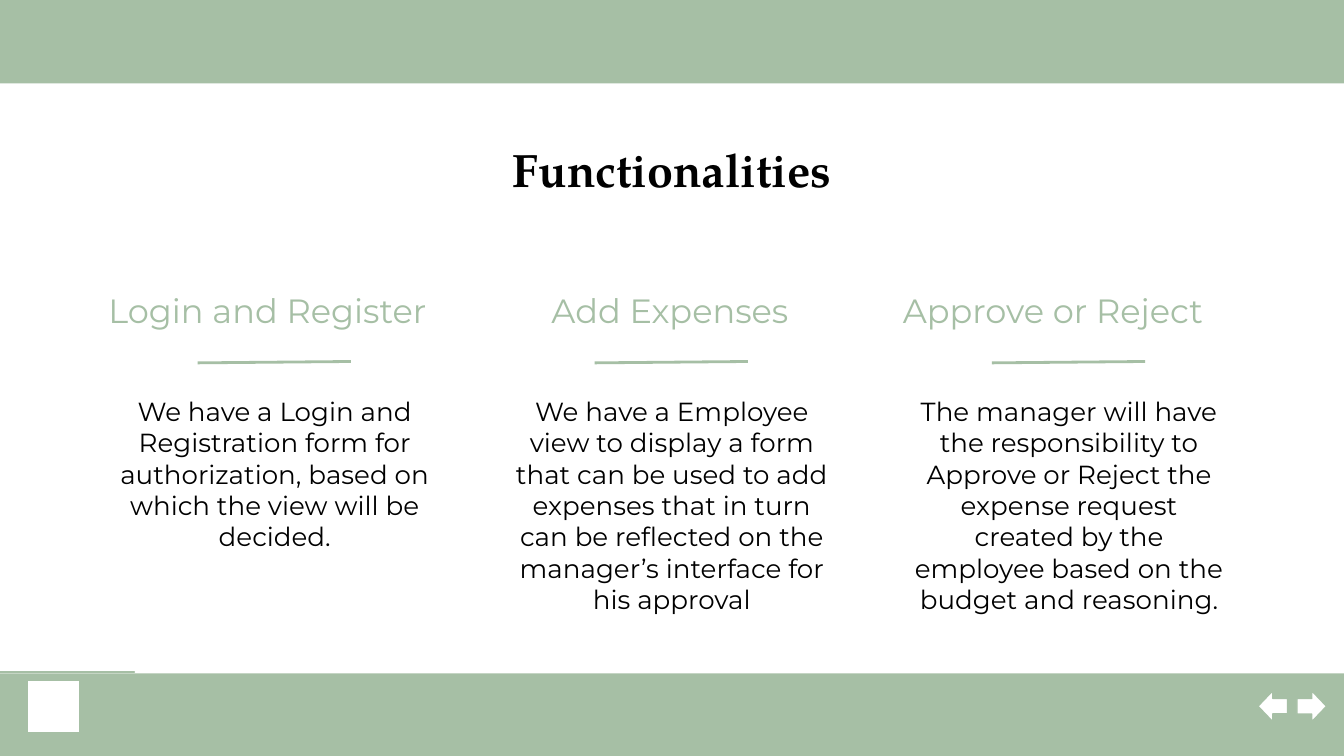
"""Build the Functionalities slide with three described features."""
from dataclasses import dataclass

from lxml.etree import SubElement
from pptx import Presentation
from pptx.dml.color import RGBColor
from pptx.enum.shapes import MSO_CONNECTOR, MSO_SHAPE
from pptx.enum.text import MSO_ANCHOR, MSO_AUTO_SIZE, PP_ALIGN
from pptx.oxml.ns import qn
from pptx.util import Inches, Pt


@dataclass(frozen=True)
class Theme:
    sage: RGBColor = RGBColor(0xA6, 0xBF, 0xA5)
    white: RGBColor = RGBColor(0xFF, 0xFF, 0xFF)
    black: RGBColor = RGBColor(0, 0, 0)
    serif: str = "TeX Gyre Pagella"
    sans: str = "Montserrat"
    title_size: int = 25
    heading_size: int = 18
    body_size: int = 14


theme = Theme()


def write(holder, text, *, size, color, font=theme.sans, bold=False, anchor=MSO_ANCHOR.TOP):
    frame = holder.text_frame
    frame.word_wrap = True
    frame.auto_size = MSO_AUTO_SIZE.NONE
    frame.vertical_anchor = anchor
    frame.margin_left = frame.margin_right = Inches(0.1)
    frame.margin_top = frame.margin_bottom = Inches(0.1)
    paragraph = frame.paragraphs[0]
    paragraph.alignment = PP_ALIGN.CENTER
    run = paragraph.add_run()
    run.text = text
    run.font.name = font
    run.font.size = Pt(size)
    run.font.bold = bold
    run.font.color.rgb = color


def add_block(kind, left, top, width, height, fill, outline=None):
    block = slide.shapes.add_shape(kind, Inches(left), Inches(top), Inches(width), Inches(height))
    block.shadow.inherit = False
    block.fill.solid()
    block.fill.fore_color.rgb = fill
    if outline is None:
        block.line.fill.background()
    else:
        block.line.color.rgb = outline
        block.line.width = Pt(0.75)
    return block


deck = Presentation()
deck.slide_width = Inches(10)
deck.slide_height = Inches(5.625)
slide = deck.slides.add_slide(deck.slide_layouts[5])
slide.background.fill.solid()
slide.background.fill.fore_color.rgb = theme.white

for band_top in (0, 5.01):
    add_block(MSO_SHAPE.RECTANGLE, 0, band_top, 10, 0.62, theme.sage)

title = slide.shapes.title
title.left, title.top = Inches(0.78), Inches(0.95)
title.width, title.height = Inches(8.44), Inches(0.6)
write(title, "Functionalities", size=theme.title_size, color=theme.black, font=theme.serif, bold=True)

features = [
    ("Login and Register", 0.67, 2.64,
     "We have a Login and Registration form for authorization, based on which the view will be decided."),
    ("Add Expenses", 3.6, 2.77,
     "We have a Employee view to display a form that can be used to add expenses that in turn "
     "can be reflected on the manager’s interface for his approval"),
    ("Approve or Reject", 6.45, 2.77,
     "The manager will have the responsibility to Approve or Reject the expense request "
     "created by the employee based on the budget and reasoning."),
]
column_step = (6.69 - 0.78) / 2
for column, (name, name_left, name_width, details) in enumerate(features):
    offset = column * column_step
    heading = slide.shapes.add_textbox(Inches(name_left), Inches(1.99), Inches(name_width), Inches(0.57))
    write(heading, name, size=theme.heading_size, color=theme.sage, anchor=MSO_ANCHOR.BOTTOM)
    description = slide.shapes.add_textbox(Inches(0.78 + offset), Inches(2.84), Inches(2.53), Inches(1.51))
    write(description, details, size=theme.body_size, color=theme.black)
    divider = slide.shapes.add_connector(
        MSO_CONNECTOR.STRAIGHT, Inches(1.47 + offset), Inches(2.7), Inches(2.61 + offset), Inches(2.69))
    divider.line.color.rgb = theme.sage
    divider.line.width = Pt(1.5)
    SubElement(divider.element.spPr, qn("a:effectLst"))

for arrow_left, turn in ((9.36, 0), (9.65, 180)):
    arrow = add_block(MSO_SHAPE.LEFT_ARROW, arrow_left, 5.14, 0.22, 0.23, theme.white, theme.sage)
    arrow.rotation = turn

add_block(MSO_SHAPE.RECTANGLE, 0.2, 5.06, 0.39, 0.39, theme.white, theme.sage)
house_strokes = [
    [(0.46, 5.19), (0.39, 5.13), (0.26, 5.25), (0.29, 5.25), (0.39, 5.16), (0.5, 5.25), (0.53, 5.25), (0.47, 5.19)],
    [(0.3, 5.21), (0.3, 5.16), (0.34, 5.16), (0.34, 5.18)],
    [(0.29, 5.16), (0.35, 5.16)],
    [(0.29, 5.25), (0.29, 5.32)],
    [(0.29, 5.34), (0.29, 5.38), (0.5, 5.38), (0.5, 5.25)],
    [(0.36, 5.38), (0.36, 5.27), (0.43, 5.27), (0.43, 5.38)],
]
outline = slide.shapes.build_freeform(*house_strokes[0][0], scale=Inches(1))
for stroke in house_strokes:
    outline.move_to(*stroke[0])
    outline.add_line_segments(stroke[1:], close=False)
house = outline.convert_to_shape()
house.shadow.inherit = False
house.fill.background()
house.line.color.rgb = theme.sage
house.line.width = Pt(0.75)

deck.save("out.pptx")
